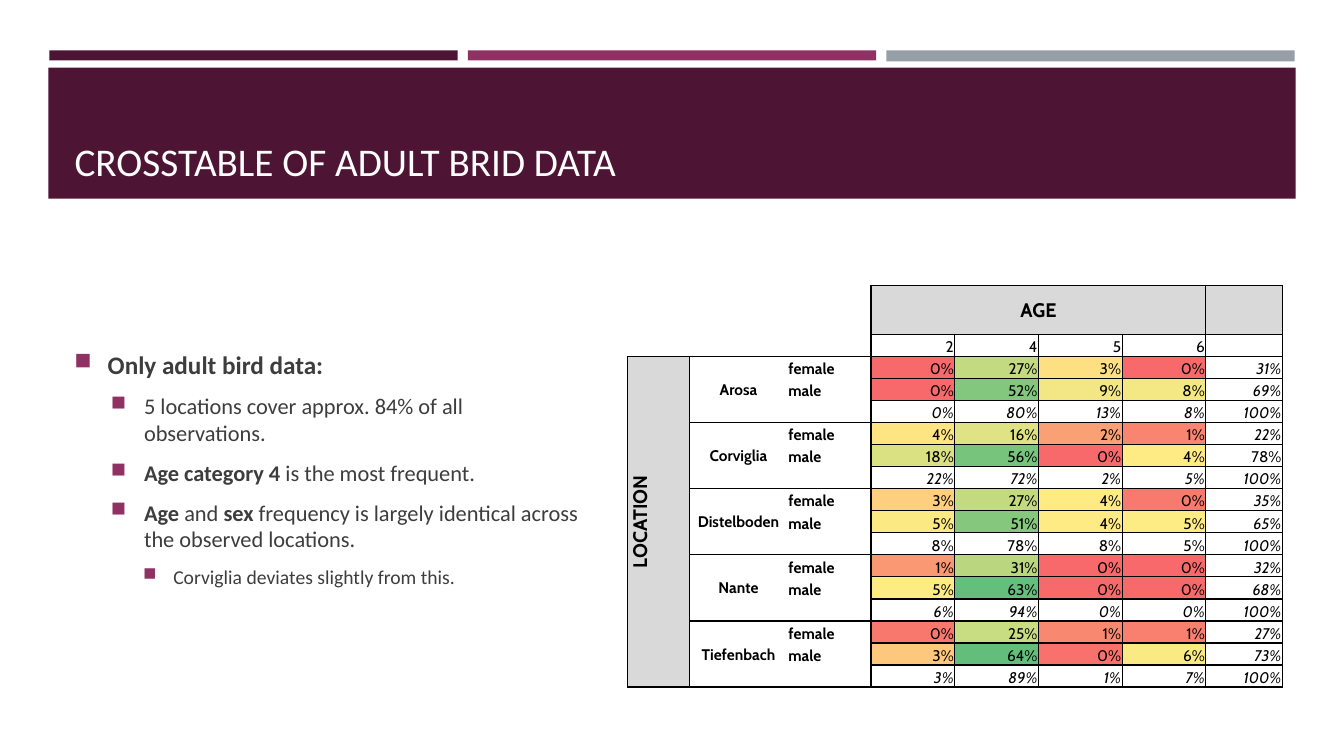
"""Build the slide with the crosstable of adult bird data."""
from lxml import etree
from pptx import Presentation
from pptx.dml.color import RGBColor
from pptx.enum.shapes import MSO_SHAPE
from pptx.enum.text import MSO_ANCHOR, MSO_AUTO_SIZE, PP_ALIGN
from pptx.oxml.ns import qn
from pptx.util import Inches, Pt

RECTANGLE = MSO_SHAPE.RECTANGLE
MIDDLE, BOTTOM = MSO_ANCHOR.MIDDLE, MSO_ANCHOR.BOTTOM
LEFT, CENTER, RIGHT = PP_ALIGN.LEFT, PP_ALIGN.CENTER, PP_ALIGN.RIGHT
NO_AUTOSIZE = MSO_AUTO_SIZE.NONE

PLUM, MAGENTA, SLATE = "4D1434", "903163", "969FA7"
WHITE, BLACK, GREY, INK = "FFFFFF", "000000", "D9D9D9", "3D3D3D"

BARS = [
    (0.49, 0.5, 4.05, 0.1, PLUM),
    (4.64, 0.5, 4.05, 0.1, MAGENTA),
    (8.79, 0.5, 4.05, 0.11, SLATE),
    (0.48, 0.67, 12.37, 1.3, PLUM),
]
COLUMNS = [0.62, 0.97] + [0.83] * 5 + [0.76]
HEADER_HEIGHT, TABLE_HEIGHT, BODY_ROWS = 0.49, 3.99, 16
AGES = ["2", "4", "5", "6"]
LOCATIONS = {
    "Arosa": ["0% 27% 3% 0% 31%", "0% 52% 9% 8% 69%", "0% 80% 13% 8% 100%"],
    "Corviglia": ["4% 16% 2% 1% 22%", "18% 56% 0% 4% 78%", "22% 72% 2% 5% 100%"],
    "Distelboden": ["3% 27% 4% 0% 35%", "5% 51% 4% 5% 65%", "8% 78% 8% 5% 100%"],
    "Nante": ["1% 31% 0% 0% 32%", "5% 63% 0% 0% 68%", "6% 94% 0% 0% 100%"],
    "Tiefenbach": ["0% 25% 1% 1% 27%", "3% 64% 0% 6% 73%", "3% 89% 1% 7% 100%"],
}
HEAT = {
    "Arosa": ["F8696B C3DA81 FEE082 F8696B", "F8696B 82C77D F2E784 F4E884"],
    "Corviglia": ["FEE582 E0E383 FAA075 F98470", "DAE182 77C47D F8696B FFEB84"],
    "Distelboden": ["FDCF7E C3DA81 FEEB84 F8796E", "FBEA84 85C87D FFEB84 FDEB84"],
    "Nante": ["FA9874 BAD780 F8696B F8696B", "FDEB84 65BF7C F8696B F8696B"],
    "Tiefenbach": ["F8786E C8DC81 F98871 F9806F", "FDC87D 63BE7B F8716C FAEA84"],
}
SEXES = [("female", "RT"), ("male", "R"), ("", "RB")]
UPRIGHT_TOTALS = {("Corviglia", 1, 4)} | {("Distelboden", 2, age) for age in range(4)}
LEVELS = [(0.33, -0.33, 18), (0.69, -0.33, 16), (0.98, -0.3, 14)]
FINDINGS = [
    (0, [("Only adult bird data:", True)]),
    (1, [("5 locations cover approx. 84% of all observations.", False)]),
    (1, [("Age category 4 ", True), ("is the most frequent.", False)]),
    (1, [("Age", True), (" and ", False), ("sex ", True),
         ("frequency is largely identical across the observed locations.", False)]),
    (2, [("Corviglia deviates slightly from this.", False)]),
]


def color(value):
    """Turn a hex string into a colour."""
    return RGBColor.from_string(value)


def add_span(para, text, font="Calibri", size=16, ink=INK, bold=False, italic=False):
    """Add formatted text to a paragraph."""
    span = para.add_run()
    span.text = text
    span.font.name, span.font.size = font, Pt(size)
    span.font.bold, span.font.italic = bold, italic
    span.font.color.rgb = color(ink)


def add_node(parent, tag, **attributes):
    """Append a drawing element to its parent."""
    return etree.SubElement(parent, qn(f"a:{tag}"), **attributes)


class SlideBuilder:
    """Holds the style and the current slide."""

    table_font = "Cabin"
    table_size = 11

    def __init__(self, deck):
        """Start a title-only slide."""
        self.slide = deck.slides.add_slide(deck.slide_layouts[5])

    def bar(self, left, top, width, height, fill):
        """Add a plain coloured bar."""
        shape = self.slide.shapes.add_shape(
            RECTANGLE, Inches(left), Inches(top), Inches(width), Inches(height))
        shape.shadow.inherit = False
        shape.fill.solid()
        shape.fill.fore_color.rgb = color(fill)
        shape.line.fill.background()

    def title(self, text):
        """Place the title in front of the banner."""
        title = self.slide.shapes.title
        title.left, title.top = Inches(0.64), Inches(0.77)
        title.width, title.height = Inches(12.06), Inches(1.11)
        frame = title.text_frame
        frame.vertical_anchor, frame.auto_size = BOTTOM, NO_AUTOSIZE
        frame.paragraphs[0].alignment = LEFT
        add_span(frame.paragraphs[0], text, size=28, ink=WHITE)
        self.slide.shapes._spTree.append(title._element)

    def bullets(self, findings):
        """Add the bulleted findings."""
        box = self.slide.shapes.add_textbox(
            Inches(0.64), Inches(2.38), Inches(5.21), Inches(4.54))
        frame = box.text_frame
        frame.word_wrap, frame.vertical_anchor = True, MIDDLE
        for index, (level, spans) in enumerate(findings):
            para = frame.add_paragraph() if index else frame.paragraphs[0]
            margin, indent, size = LEVELS[level]
            para.level = level
            props = para._p.get_or_add_pPr()
            props.set("marL", str(Inches(margin)))
            props.set("indent", str(Inches(indent)))
            add_node(add_node(props, "spcBef"), "spcPct", val="20000")
            add_node(add_node(props, "spcAft"), "spcPts", val="600")
            add_node(add_node(props, "buClr"), "srgbClr", val=MAGENTA)
            add_node(props, "buSzPct", val="92000")
            add_node(props, "buChar", char="■")
            for text, bold in spans:
                add_span(para, text, size=size, bold=bold)

    def cell(self, row, column, text="", fill=WHITE, sides="LRTB", align=RIGHT,
             anchor=BOTTOM, size=table_size, bold=False, italic=False, vert=None):
        """Fill and format one table cell."""
        cell = self.table.cell(row, column)
        cell.margin_left = cell.margin_right = cell.margin_top = Inches(0.01)
        cell.margin_bottom = 0
        cell.vertical_anchor = anchor
        props = cell._tc.get_or_add_tcPr()
        if vert:
            props.set("vert", vert)
        for side in "LRTB":
            line = add_node(props, f"ln{side}", w=str(Pt(1)))
            if side in sides:
                add_node(add_node(line, "solidFill"), "srgbClr", val=BLACK)
            else:
                add_node(line, "noFill")
        cell.fill.solid()
        cell.fill.fore_color.rgb = color(fill)
        para = cell.text_frame.paragraphs[0]
        para.alignment = align
        if text:
            add_span(para, text, self.table_font, size, BLACK, bold, italic)
        else:
            add_node(para._p, "endParaRPr", sz=str(size * 100))

    def heading(self, row, column, rows, columns, text, **style):
        """Merge a block of cells under one bold heading."""
        last = self.table.cell(row + rows - 1, column + columns - 1)
        self.table.cell(row, column).merge(last)
        for offset in range(rows * columns):
            down, across = divmod(offset, columns)
            self.cell(row + down, column + across, "" if offset else text,
                      align=CENTER, anchor=MIDDLE, bold=True, **style)

    def crosstable(self):
        """Add the table of age by location and sex."""
        frame = self.slide.shapes.add_table(
            BODY_ROWS + 1, len(COLUMNS), Inches(6.22), Inches(2.83),
            Inches(sum(COLUMNS)), Inches(TABLE_HEIGHT))
        self.table = frame.table
        self.table.first_row = self.table.horz_banding = False
        for column, width in zip(self.table.columns, COLUMNS):
            column.width = Inches(width)
        for index, row in enumerate(self.table.rows):
            body_height = (TABLE_HEIGHT - HEADER_HEIGHT) / BODY_ROWS
            row.height = Inches(body_height if index else HEADER_HEIGHT)
        for column in range(3):
            edge = "R" if column == 2 else ""
            self.cell(0, column, sides=edge)
            self.cell(1, column, sides=edge + "B")
        self.heading(0, 3, 1, 4, "AGE", fill=GREY, size=14)
        self.cell(0, 7, fill=GREY)
        for column, age in enumerate(AGES + [""], 3):
            self.cell(1, column, age)
        self.heading(2, 0, 15, 1, "LOCATION", fill=GREY, size=14, vert="vert270")
        for index, (location, lines) in enumerate(LOCATIONS.items()):
            top = 2 + 3 * index
            self.heading(top, 1, 3, 1, location, sides="LTB")
            for offset, (sex, sides) in enumerate(SEXES):
                self.cell(top + offset, 2, sex, sides=sides, align=LEFT, bold=True)
                heat = HEAT[location][offset].split() if sex else [WHITE] * 4
                values = zip(lines[offset].split(), heat + [WHITE])
                for column, (value, fill) in enumerate(values):
                    total = offset == 2 or column == 4
                    italic = total and (location, offset, column) not in UPRIGHT_TOTALS
                    self.cell(top + offset, column + 3, value, fill, italic=italic)


def main():
    """Build and save the deck."""
    deck = Presentation()
    deck.slide_width, deck.slide_height = Inches(13.33), Inches(7.5)
    page = SlideBuilder(deck)
    for bar in BARS:
        page.bar(*bar)
    page.title("CROSSTABLE OF ADULT BRID DATA")
    page.crosstable()
    page.bullets(FINDINGS)
    deck.save("out.pptx")


if __name__ == "__main__":
    main()
